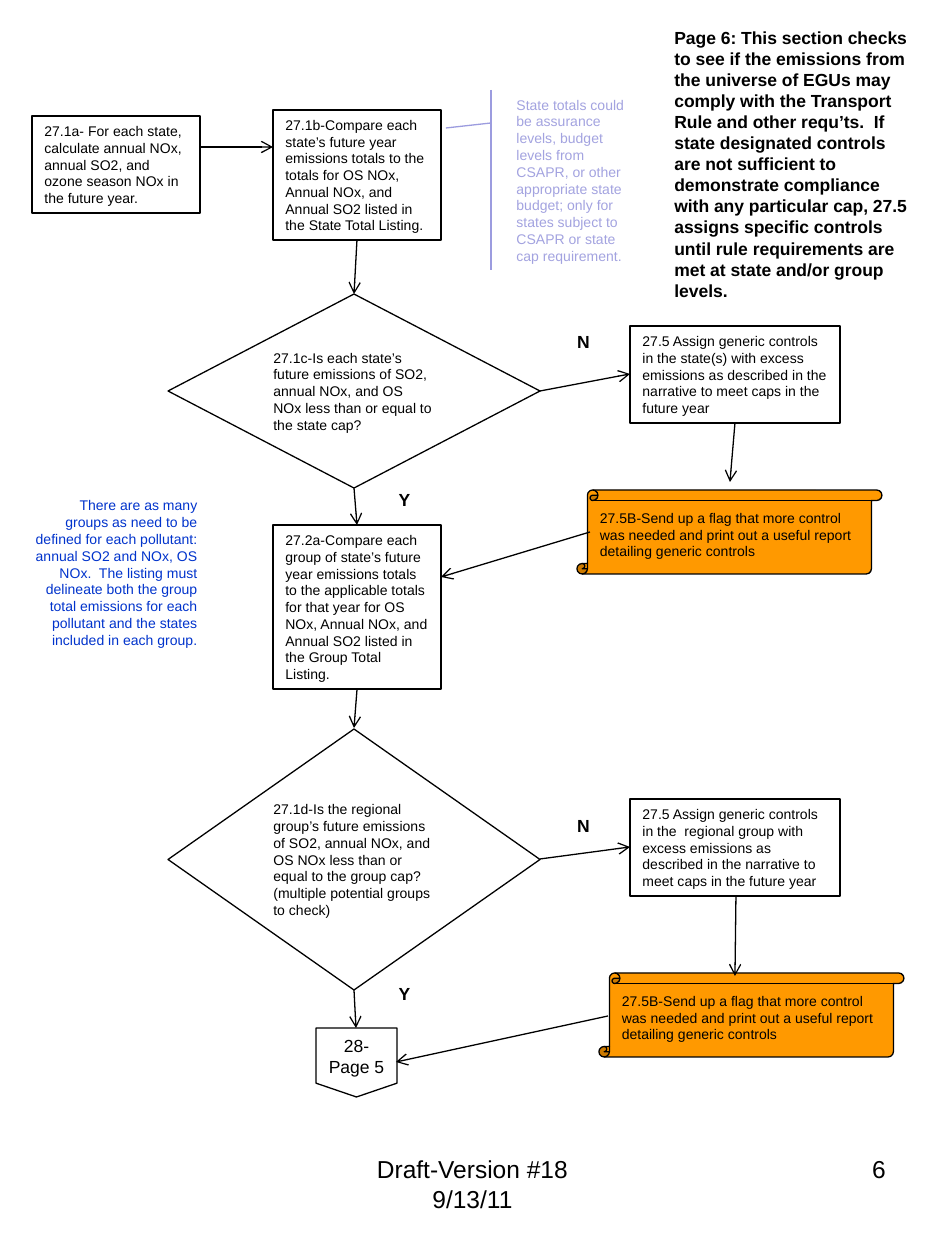
from dataclasses import dataclass

from lxml.etree import SubElement
from pptx import Presentation
from pptx.dml.color import RGBColor
from pptx.enum.shapes import MSO_CONNECTOR, MSO_SHAPE as Shape
from pptx.enum.text import MSO_ANCHOR as Anchor, PP_ALIGN as Align
from pptx.oxml.ns import qn
from pptx.util import Emu, Pt

EMU_PER_PX = 914400 / 126
BLACK = RGBColor(0x00, 0x00, 0x00)
ORANGE = RGBColor(0xFF, 0x99, 0x00)
BLUE = RGBColor(0x00, 0x33, 0xCC)
LILAC = RGBColor(0xA3, 0xA3, 0xE0)
LILAC_LINE = RGBColor(0x9C, 0x9C, 0xDF)


def px(length: int) -> Emu:
    return Emu(round(length * EMU_PER_PX))


@dataclass
class Label:
    x: int
    y: int
    w: int
    h: int
    text: str
    size: int = 8
    bold: bool = False
    color: RGBColor = BLACK
    align: Align = Align.LEFT
    anchor: Anchor = Anchor.TOP


@dataclass
class Step:
    kind: Shape
    x: int
    y: int
    w: int
    h: int
    text: str
    fill: RGBColor | None = None
    size: int = 8
    align: Align = Align.LEFT
    wrap: bool = True


@dataclass
class Line:
    x1: int
    y1: int
    x2: int
    y2: int
    color: RGBColor = BLACK
    arrow: bool = True


def write_text(shape, item: Label | Step, color: RGBColor, anchor: Anchor,
               bold: bool = False, wrap: bool = True) -> None:
    frame = shape.text_frame
    frame.text = item.text
    frame.word_wrap = wrap
    frame.vertical_anchor = anchor
    for paragraph in frame.paragraphs:
        paragraph.alignment = item.align
        paragraph.font.name = "Arial"
        paragraph.font.size = Pt(item.size)
        paragraph.font.bold = bold
        paragraph.font.color.rgb = color


def draw_label(slide, label: Label) -> None:
    box = slide.shapes.add_textbox(px(label.x), px(label.y), px(label.w), px(label.h))
    write_text(box, label, label.color, label.anchor, label.bold)


def draw_step(slide, step: Step) -> None:
    shape = slide.shapes.add_shape(step.kind, px(step.x), px(step.y), px(step.w), px(step.h))
    shape.shadow.inherit = False
    if step.fill is None:
        shape.fill.background()
    else:
        shape.fill.solid()
        shape.fill.fore_color.rgb = step.fill
    shape.line.color.rgb = BLACK
    shape.line.width = Pt(0.75)
    write_text(shape, step, BLACK, Anchor.MIDDLE, wrap=step.wrap)


def draw_line(slide, line: Line) -> None:
    connector = slide.shapes.add_connector(
        MSO_CONNECTOR.STRAIGHT, px(line.x1), px(line.y1), px(line.x2), px(line.y2))
    connector.line.color.rgb = line.color
    connector.line.width = Pt(0.75)
    properties = connector.element.spPr
    if line.arrow:
        SubElement(properties.find(qn("a:ln")), qn("a:tailEnd"), type="arrow")
    SubElement(properties, qn("a:effectLst"))


FLAG_TEXT = ("27.5B-Send up a flag that more control was needed "
             "and print out a useful report detailing generic controls")

STEPS = [
    # State checks
    Step(Shape.FLOWCHART_PROCESS, 32, 116, 168, 97,
         "27.1a- For each state, calculate annual NOx, annual SO2, and ozone season "
         "NOx in the future year."),
    Step(Shape.FLOWCHART_PROCESS, 273, 110, 168, 130,
         "27.1b-Compare each state’s future year emissions totals to the totals for "
         "OS NOx, Annual NOx, and Annual SO2 listed in the State Total Listing."),
    Step(Shape.FLOWCHART_DECISION, 168, 294, 372, 194,
         "27.1c-Is each state’s future emissions of SO2, annual NOx, and OS NOx less "
         "than or equal to the state cap?"),
    Step(Shape.RECTANGLE, 630, 326, 210, 97,
         "27.5 Assign generic controls in the state(s) with excess emissions as "
         "described in the narrative to meet caps in the future year"),
    Step(Shape.VERTICAL_SCROLL, 577, 490, 305, 84, FLAG_TEXT, ORANGE),
    # Group checks
    Step(Shape.FLOWCHART_PROCESS, 273, 525, 168, 164,
         "27.2a-Compare each group of state’s future year emissions totals to the "
         "applicable totals for that year for OS NOx, Annual NOx, and Annual SO2 "
         "listed in the Group Total Listing."),
    Step(Shape.FLOWCHART_DECISION, 168, 729, 372, 261,
         "27.1d-Is the regional group’s future emissions of SO2, annual NOx, and OS "
         "NOx less than or equal to the group cap? (multiple potential groups to check)"),
    Step(Shape.RECTANGLE, 630, 799, 210, 97,
         "27.5 Assign generic controls in the  regional group with excess emissions "
         "as described in the narrative to meet caps in the future year"),
    Step(Shape.VERTICAL_SCROLL, 599, 973, 305, 84, FLAG_TEXT, ORANGE),
    Step(Shape.FLOWCHART_OFFPAGE_CONNECTOR, 316, 1028, 81, 69, "28-\nPage 5",
         size=10, align=Align.CENTER, wrap=False),
]

LINES = [
    # Flow, from top to bottom
    Line(200, 147, 273, 147),
    Line(357, 240, 354, 294),
    Line(540, 391, 630, 374),
    Line(735, 423, 730, 482),
    Line(590, 532, 441, 577),
    Line(354, 488, 357, 525),
    Line(357, 690, 354, 728),
    Line(540, 859, 630, 847),
    Line(736, 896, 735, 976),
    Line(608, 1016, 396, 1062),
    Line(354, 990, 356, 1028),
    # Callout leader and bar
    Line(446, 128, 491, 123, LILAC_LINE, arrow=False),
    Line(491, 90, 491, 270, LILAC_LINE, arrow=False),
]

LABELS = [
    # Page summary and side notes
    Label(662, 21, 262, 286,
          "Page 6: This section checks to see if the emissions from the universe of "
          "EGUs may comply with the Transport Rule and other requ’ts.  If state "
          "designated controls are not sufficient to demonstrate compliance with any "
          "particular cap, 27.5 assigns specific controls until rule requirements are "
          "met at state and/or group levels.", size=10, bold=True),
    Label(504, 90, 147, 180,
          "State totals could be assurance levels, budget levels from CSAPR, or other "
          "appropriate state budget; only for states subject to CSAPR or state cap "
          "requirement.", color=LILAC, anchor=Anchor.MIDDLE),
    Label(21, 483, 189, 179,
          "There are as many groups as need to be defined for each pollutant: annual "
          "SO2 and NOx, OS NOx.  The listing must delineate both the group total "
          "emissions for each pollutant and the states included in each group.",
          color=BLUE, align=Align.RIGHT, anchor=Anchor.MIDDLE),
    # Footer
    Label(323, 1148, 299, 87, "Draft-Version #18 9/13/11", size=14, align=Align.CENTER),
    Label(678, 1148, 220, 87, "6", size=14, align=Align.RIGHT),
]

# Decision answers
LABELS += [
    Label(x, y, 53, 34, answer, size=10, bold=True, align=Align.CENTER)
    for answer, x, y in [("N", 557, 325), ("Y", 378, 483), ("N", 557, 809), ("Y", 378, 977)]
]


def main() -> None:
    deck = Presentation()
    deck.slide_width, deck.slide_height = px(945), px(1260)
    slide = deck.slides.add_slide(deck.slide_layouts[6])
    for step in STEPS:
        draw_step(slide, step)
    for line in LINES:
        draw_line(slide, line)
    for label in LABELS:
        draw_label(slide, label)
    deck.save("out.pptx")


if __name__ == "__main__":
    main()
